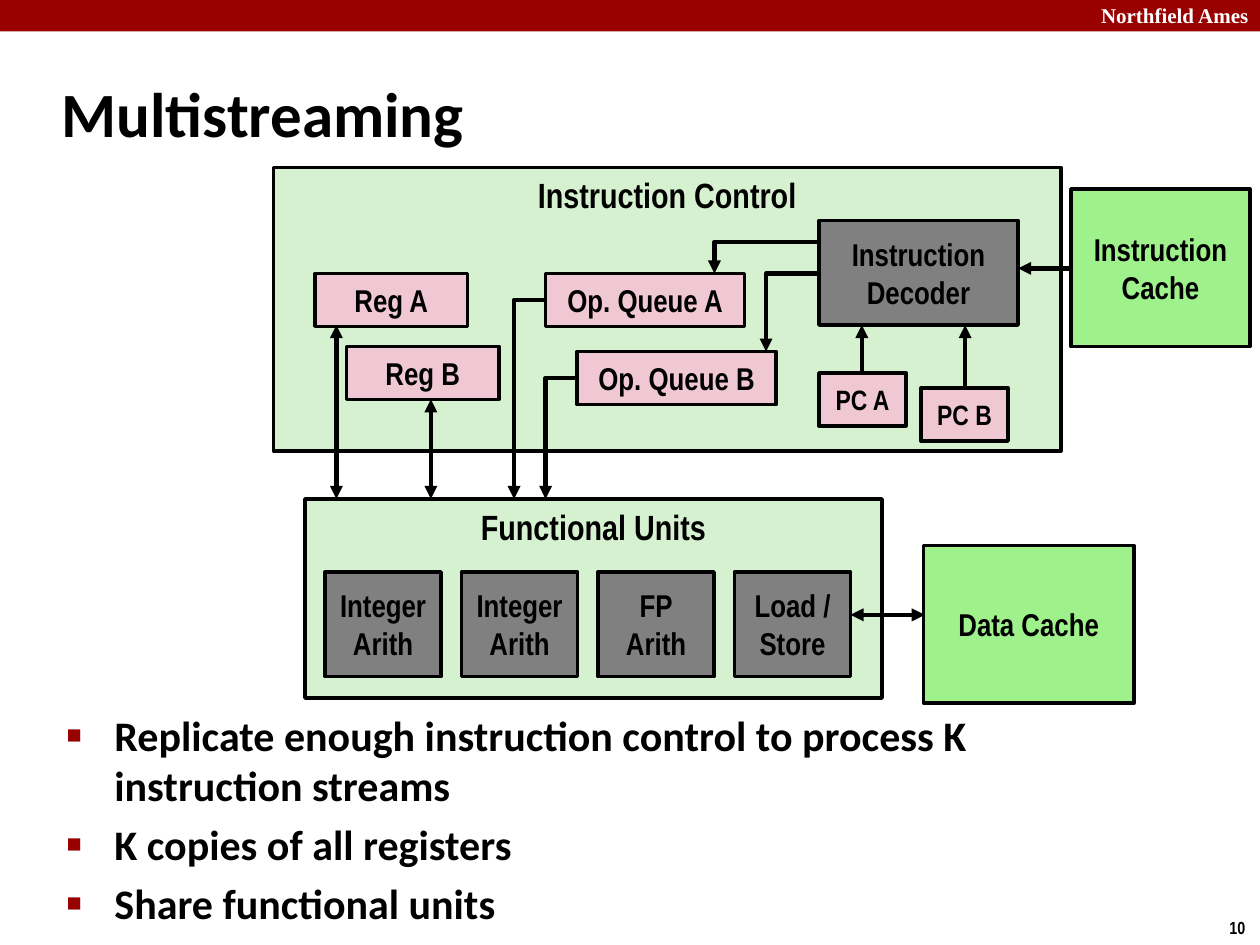
from dataclasses import dataclass

from lxml.etree import SubElement
from pptx import Presentation
from pptx.dml.color import RGBColor
from pptx.enum.shapes import MSO_CONNECTOR, MSO_SHAPE
from pptx.enum.text import MSO_ANCHOR, PP_ALIGN
from pptx.oxml.ns import qn
from pptx.util import Inches, Pt

BLACK, WHITE, RED = "000000", "FFFFFF", "990000"
PALE_GREEN, GREEN, PINK, GRAY = "D5F1CF", "9EF18B", "F0C8D3", "808080"
NARROW, CALIBRI, TIMES = "Arial Narrow", "Calibri", "Times New Roman"


@dataclass
class Box:
    text: str
    left: float
    top: float
    width: float
    height: float
    fill: str
    size: int = 18
    anchor: MSO_ANCHOR = MSO_ANCHOR.MIDDLE


@dataclass
class Arrow:
    start: tuple[float, float]
    end: tuple[float, float]
    at_start: bool = False
    at_end: bool = True
    bent: bool = False


def color(value: str) -> RGBColor:
    return RGBColor.from_string(value)


def format_text(text_frame, font: str, size: int, text_color: str = BLACK) -> None:
    for paragraph in text_frame.paragraphs:
        for run in paragraph.runs:
            run.font.name = font
            run.font.size = Pt(size)
            run.font.bold = True
            run.font.color.rgb = color(text_color)


def add_rectangle(slide, left: float, top: float, width: float, height: float, fill: str):
    shape = slide.shapes.add_shape(
        MSO_SHAPE.RECTANGLE, Inches(left), Inches(top), Inches(width), Inches(height))
    shape.shadow.inherit = False
    shape.fill.solid()
    shape.fill.fore_color.rgb = color(fill)
    shape.line.fill.background()
    return shape


def add_box(slide, box: Box) -> None:
    shape = add_rectangle(slide, box.left, box.top, box.width, box.height, box.fill)
    shape.line.color.rgb = color(BLACK)
    shape.line.width = Pt(2)
    text_frame = shape.text_frame
    text_frame.text = box.text
    text_frame.vertical_anchor = box.anchor
    for paragraph in text_frame.paragraphs:
        paragraph.alignment = PP_ALIGN.CENTER
    format_text(text_frame, NARROW, box.size)


def add_text(slide, text: str, left: float, top: float, width: float, height: float,
             font: str, size: int, text_color: str = BLACK, wrap: bool = True):
    shape = slide.shapes.add_textbox(
        Inches(left), Inches(top), Inches(width), Inches(height))
    text_frame = shape.text_frame
    text_frame.word_wrap = wrap
    text_frame.text = text
    format_text(text_frame, font, size, text_color)
    return text_frame


def add_bullet(paragraph) -> None:
    properties = paragraph._p.get_or_add_pPr()
    properties.set("marL", str(Inches(0.38)))
    properties.set("indent", str(-Inches(0.38)))
    paragraph.space_before = Pt(4.8)
    bullet_color = SubElement(properties, qn("a:buClr"))
    SubElement(bullet_color, qn("a:srgbClr"), val=RED)
    SubElement(properties, qn("a:buSzPct"), val="60000")
    SubElement(properties, qn("a:buFont"), typeface="Arial")
    SubElement(properties, qn("a:buChar"), char="■")


def add_arrow(slide, arrow: Arrow) -> None:
    kind = MSO_CONNECTOR.ELBOW if arrow.bent else MSO_CONNECTOR.STRAIGHT
    connector = slide.shapes.add_connector(
        kind, *(Inches(value) for value in arrow.start + arrow.end))
    connector.line.color.rgb = color(BLACK)
    connector.line.width = Pt(2.5)
    properties = connector._element.spPr
    if arrow.bent:
        # One corner: left from the start, then down to the end
        properties.find(qn("a:prstGeom")).set("prst", "bentConnector2")
        transform = properties.find(qn("a:xfrm"))
        transform.attrib.pop("flipH", None)
        transform.set("rot", "10800000")
        transform.set("flipV", "1")
    line = connector.line._get_or_add_ln()
    if arrow.at_start:
        SubElement(line, qn("a:headEnd"), type="triangle")
    if arrow.at_end:
        SubElement(line, qn("a:tailEnd"), type="triangle")
    SubElement(properties, qn("a:effectLst"))


presentation = Presentation()
presentation.slide_width = Inches(10)
presentation.slide_height = Inches(7.5)
slide = presentation.slides.add_slide(presentation.slide_layouts[6])

# Header band and page number
add_rectangle(slide, 0, 0, 10, 0.25, RED)
add_text(slide, "Northfield Ames", 8.64, -0.03, 1.43, 0.3, TIMES, 12, WHITE)
add_text(slide, "10", 9.66, 7.23, 0.34, 0.27, NARROW, 10, wrap=False)

# Title and bullets
title = add_text(slide, "Multistreaming", 0.39, 0.48, 9.03, 0.83, CALIBRI, 36)
title.vertical_anchor = MSO_ANCHOR.MIDDLE
bullets = add_text(
    slide,
    "Replicate enough instruction control to process K instruction streams\n"
    "K copies of all registers\n"
    "Share functional units",
    0.43, 5.58, 8.65, 1.34, CALIBRI, 24)
for bullet in bullets.paragraphs:
    add_bullet(bullet)

# Processor blocks
UNITS = ["Integer\nArith", "Integer\nArith", "FP\nArith", "Load /\nStore"]
boxes = [
    Box("Functional Units", 2.42, 3.96, 4.58, 1.58, PALE_GREEN, 20, MSO_ANCHOR.TOP),
    *(Box(unit, 2.58 + index * 3.25 / 3, 4.54, 0.92, 0.83, GRAY)
      for index, unit in enumerate(UNITS)),
    Box("Instruction Control", 2.17, 1.33, 6.25, 2.25, PALE_GREEN, 20, MSO_ANCHOR.TOP),
    Box("Instruction Decoder", 6.5, 1.75, 1.58, 0.83, GRAY),
    Box("Instruction\nCache", 8.5, 1.5, 1.42, 1.25, GREEN),
    Box("Data Cache", 7.33, 4.33, 1.67, 1.25, GREEN),
    Box("Reg A", 2.5, 2.17, 1.21, 0.42, PINK),
    Box("Reg B", 2.75, 2.75, 1.21, 0.42, PINK),
    Box("Op. Queue A", 4.33, 2.17, 1.58, 0.42, PINK),
    Box("Op. Queue B", 4.58, 2.79, 1.58, 0.42, PINK),
    Box("PC A", 6.5, 2.96, 0.69, 0.42, PINK, 16),
    Box("PC B", 7.31, 3.08, 0.69, 0.42, PINK, 16),
]
for box in boxes:
    add_box(slide, box)

# Data paths
arrows = [
    Arrow((7.34, 4.88), (6.75, 4.88), at_start=True),
    Arrow((8.5, 2.13), (8.08, 2.13)),
    Arrow((2.67, 2.58), (2.67, 3.96), at_start=True),
    Arrow((3.42, 3.17), (3.42, 3.96), at_start=True),
    Arrow((6.84, 2.96), (6.84, 2.58)),
    Arrow((7.66, 3.08), (7.66, 2.58)),
    Arrow((6.5, 1.92), (5.67, 2.17), bent=True),
    Arrow((6.5, 2.17), (6.08, 2.79), bent=True),
    Arrow((4.33, 2.38), (4.08, 3.96), bent=True),
    Arrow((4.58, 3), (4.33, 3.96), bent=True),
]
for arrow in arrows:
    add_arrow(slide, arrow)

presentation.save("out.pptx")
